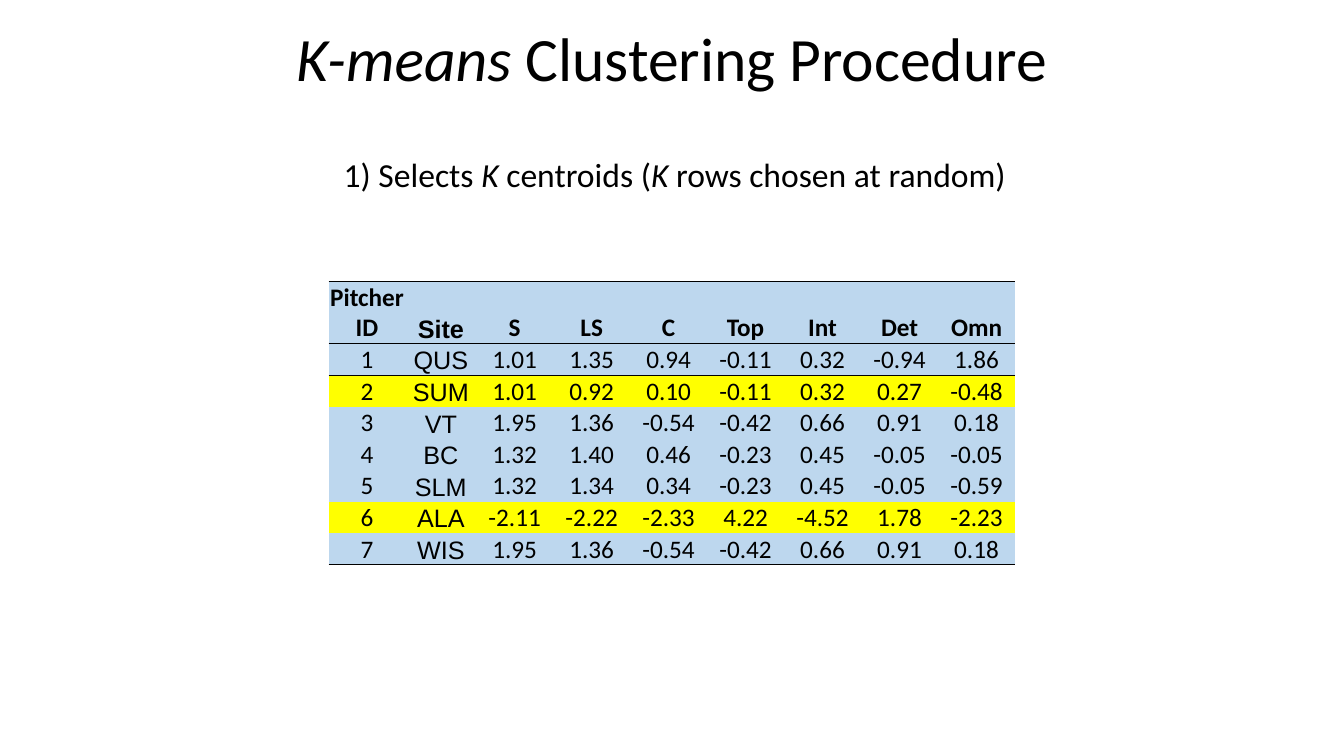
from lxml.etree import SubElement
from pptx import Presentation
from pptx.dml.color import RGBColor
from pptx.enum.text import MSO_ANCHOR, MSO_AUTO_SIZE, PP_ALIGN
from pptx.oxml.ns import qn
from pptx.util import Cm, Pt

BLACK, BLUE, YELLOW = "000000", "BDD7EE", "FFFF00"
NO_STYLE_NO_GRID = "{2D5ABB26-0587-4C30-8999-92F81FD0307C}"

HEADER = ["Pitcher ID", "Site", "S", "LS", "C", "Top", "Int", "Det", "Omn"]
PITCHERS = [
    ["1", "QUS", "1.01", "1.35", "0.94", "-0.11", "0.32", "-0.94", "1.86"],
    ["2", "SUM", "1.01", "0.92", "0.10", "-0.11", "0.32", "0.27", "-0.48"],
    ["3", "VT", "1.95", "1.36", "-0.54", "-0.42", "0.66", "0.91", "0.18"],
    ["4", "BC", "1.32", "1.40", "0.46", "-0.23", "0.45", "-0.05", "-0.05"],
    ["5", "SLM", "1.32", "1.34", "0.34", "-0.23", "0.45", "-0.05", "-0.59"],
    ["6", "ALA", "-2.11", "-2.22", "-2.33", "4.22", "-4.52", "1.78", "-2.23"],
    ["7", "WIS", "1.95", "1.36", "-0.54", "-0.42", "0.66", "0.91", "0.18"],
]
CENTROIDS = {"2", "6"}
SITE_COL = HEADER.index("Site")


def rgb(color):
    return RGBColor.from_string(color)


def add_run(p, text, size, font="Calibri", bold=False, italic=False):
    r = p.add_run()
    r.text = text
    r.font.size, r.font.name = Pt(size), font
    r.font.bold, r.font.italic = bold, italic
    r.font.color.rgb = rgb(BLACK)


def add_text(s, box, size, runs, wrap=True):
    """Place one centred line; runs are (text, italic) pairs."""
    tf = s.shapes.add_textbox(*map(Cm, box)).text_frame
    tf.word_wrap = wrap
    p = tf.paragraphs[0]
    p.alignment = PP_ALIGN.CENTER
    for text, italic in runs:
        add_run(p, text, size, italic=italic)
    return tf


def add_title(s, box):
    tf = add_text(s, box, 44, [("K-means", True), (" Clustering Procedure", False)])
    tf.paragraphs[0].line_spacing = 0.9


def add_step(s, box):
    tf = add_text(s, box, 24, [
        ("1) Selects ", False), ("K", True), (" centroids (", False),
        ("K", True), (" rows chosen at random)", False)], wrap=False)
    tf.auto_size = MSO_AUTO_SIZE.SHAPE_TO_FIT_TEXT


def add_border(cell, side):
    ln = SubElement(cell._tc.get_or_add_tcPr(), qn(f"a:ln{side}"), w=str(Pt(1)))
    fill = SubElement(ln, qn("a:solidFill"))
    SubElement(fill, qn("a:srgbClr"), val=BLACK)


def fill_cell(cell, text, font, bold, color, sides):
    cell.margin_left = cell.margin_right = cell.margin_top = Cm(0.02)
    cell.margin_bottom = 0
    cell.vertical_anchor = MSO_ANCHOR.BOTTOM
    for side in sides:
        add_border(cell, side)
    cell.fill.solid()
    cell.fill.fore_color.rgb = rgb(color)
    p = cell.text_frame.paragraphs[0]
    p.alignment = PP_ALIGN.CENTER
    add_run(p, text, 18, font, bold)


def add_pitcher_table(s, box):
    rows = [HEADER] + PITCHERS
    table = s.shapes.add_table(len(rows), len(HEADER), *map(Cm, box)).table
    table.first_row = table.horz_banding = False
    table._tbl.tblPr.find(qn("a:tableStyleId")).text = NO_STYLE_NO_GRID
    site_width = 1.78
    for j, col in enumerate(table.columns):
        other_width = (box[2] - site_width) / (len(HEADER) - 1)
        col.width = Cm(site_width if j == SITE_COL else other_width)
    borders = {0: "TB", 1: "T", len(rows) - 1: "B"}
    for i, values in enumerate(rows):
        table.rows[i].height = Cm(0.66)
        color = YELLOW if values[0] in CENTROIDS else BLUE
        for j, text in enumerate(values):
            font = "Arial" if j == SITE_COL else "Calibri"
            fill_cell(table.cell(i, j), text, font, i == 0, color, borders.get(i, ""))


def main():
    prs = Presentation()
    prs.slide_width, prs.slide_height = Cm(33.87), Cm(19.05)
    s = prs.slides.add_slide(prs.slide_layouts[6])
    add_pitcher_table(s, (8.28, 7.09, 17.3, 7.04))
    add_title(s, (2.33, 0.58, 29.21, 3.68))
    add_step(s, (8.33, 3.76, 17.35, 1.28))
    prs.save("out.pptx")


if __name__ == "__main__":
    main()
